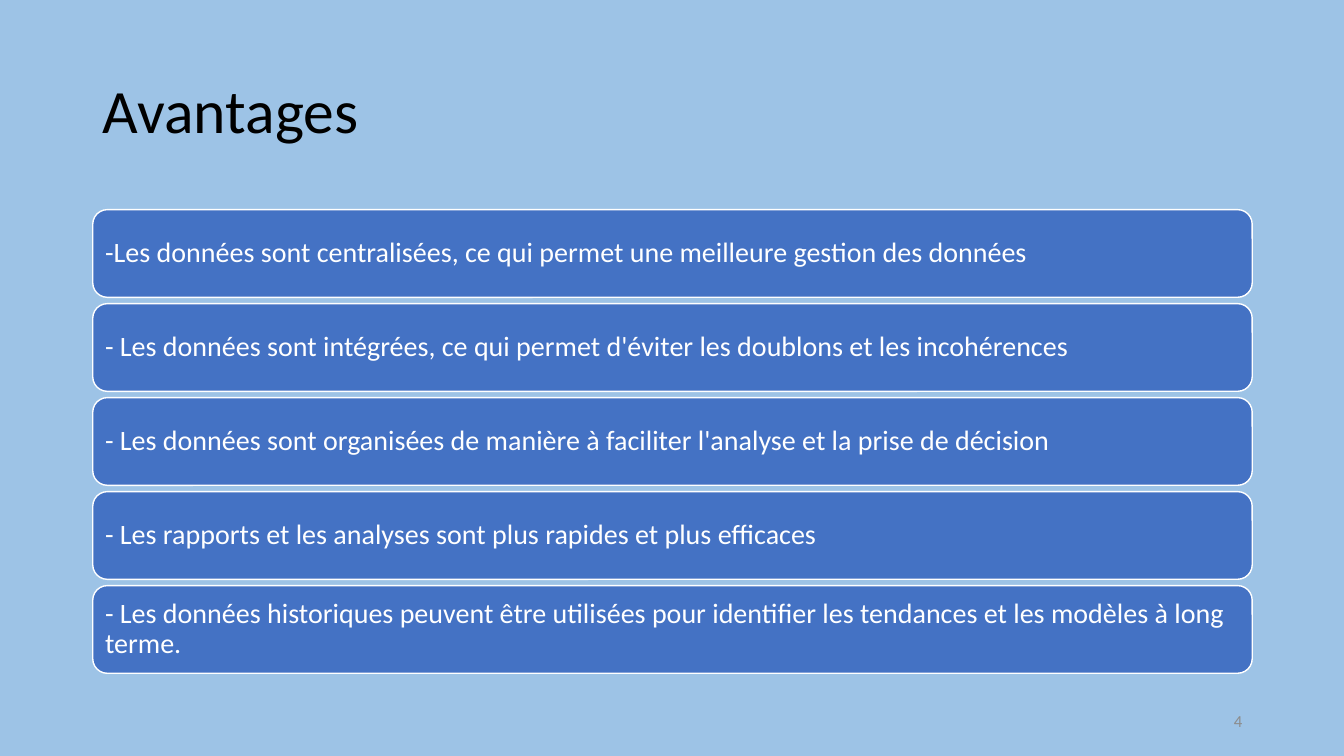
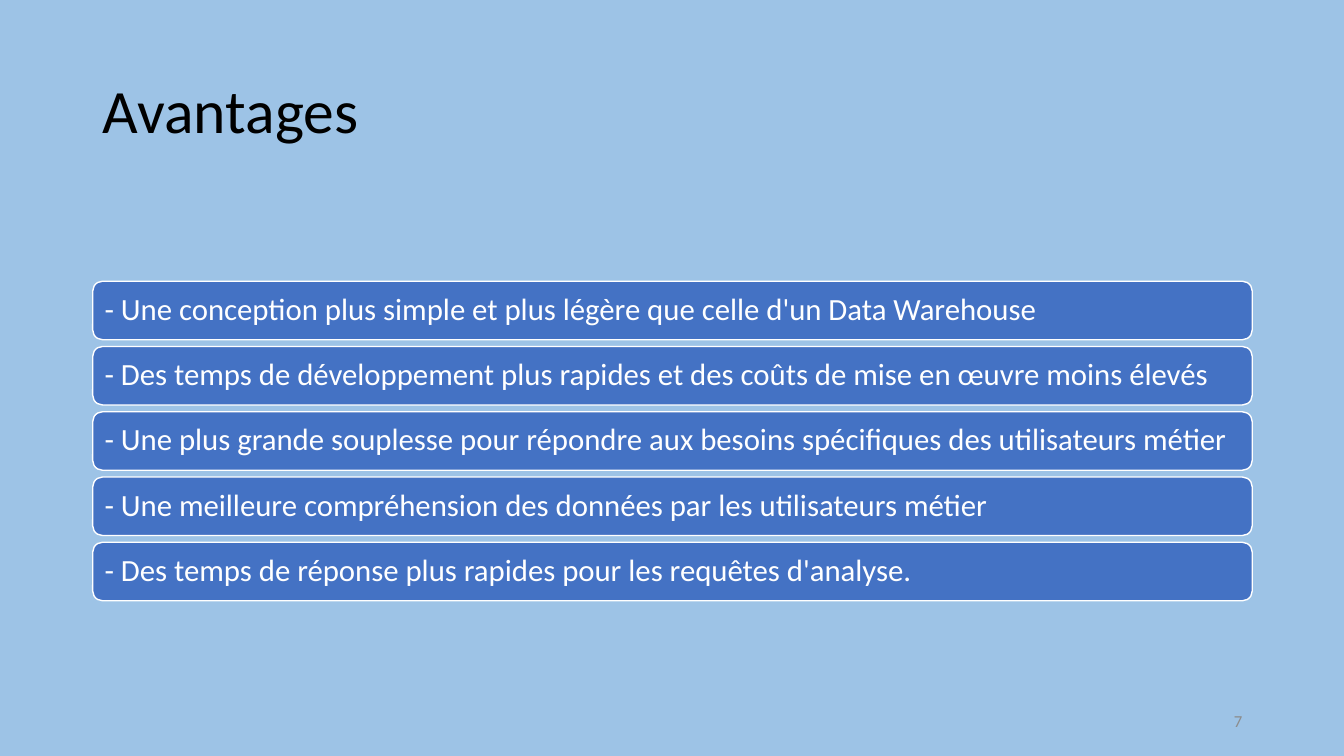
from pptx import Presentation
from pptx.dml.color import RGBColor
from pptx.enum.shapes import MSO_SHAPE
from pptx.enum.text import MSO_ANCHOR, PP_ALIGN
from pptx.util import Inches, Pt

SKY = RGBColor(0x9D, 0xC3, 0xE6)
BLUE = RGBColor(0x44, 0x72, 0xC4)
WHITE = RGBColor(0xFF, 0xFF, 0xFF)
BLACK = RGBColor(0x00, 0x00, 0x00)
GREY = RGBColor(0x8C, 0x8C, 0x8C)
FONT = "Calibri"
LEFT, WIDTH = 0.92, 11.5


class Deck:
    """Holds the shared style and the slide being built."""

    def __init__(self):
        self.prs = Presentation()
        self.prs.slide_width = Inches(13.33)
        self.prs.slide_height = Inches(7.5)
        fill = self.prs.slide_master.background.fill
        fill.solid()
        fill.fore_color.rgb = SKY

    def set_text(self, sp, text, size, color, align=PP_ALIGN.LEFT, spacing=0.9):
        tf = sp.text_frame
        tf.word_wrap = True
        tf.vertical_anchor = MSO_ANCHOR.MIDDLE
        p = tf.paragraphs[0]
        p.text = text
        p.alignment = align
        p.line_spacing = spacing
        p.font.name = FONT
        p.font.size = Pt(size)
        p.font.color.rgb = color
        return tf

    def add_slide(self, title, number):
        self.s = self.prs.slides.add_slide(self.prs.slide_layouts[5])
        sp = self.s.shapes.title
        sp.left, sp.top = Inches(LEFT), Inches(0.4)
        sp.width, sp.height = Inches(WIDTH), Inches(1.45)
        self.set_text(sp, title, 44, BLACK)
        self.add_page_number(number)

    def add_page_number(self, number):
        sp = self.s.shapes.add_textbox(Inches(9.42), Inches(6.95), Inches(3), Inches(0.4))
        self.set_text(sp, str(number), 12, GREY, PP_ALIGN.RIGHT, 1.0)

    def add_bar(self, text, top, height, size, inset):
        sp = self.s.shapes.add_shape(MSO_SHAPE.ROUNDED_RECTANGLE, Inches(LEFT), Inches(top),
                                     Inches(WIDTH), Inches(height))
        sp.shadow.inherit = False
        sp.fill.solid()
        sp.fill.fore_color.rgb = BLUE
        sp.line.color.rgb = WHITE
        sp.line.width = Pt(1)
        tf = self.set_text(sp, text, size, WHITE)
        tf.margin_left = tf.margin_right = Inches(inset)
        tf.margin_top = tf.margin_bottom = Inches(inset)

    def add_bars(self, texts, first_top, last_top, height, size, inset):
        """Stack bars at equal steps between the first and last tops."""
        step = (last_top - first_top) / (len(texts) - 1)
        for i, text in enumerate(texts):
            self.add_bar(text, first_top + i * step, height, size, inset)


def main():
    deck = Deck()

    deck.add_slide("Avantages", 4)
    deck.add_bars([
        "-Les données sont centralisées, ce qui permet une meilleure gestion des données",
        "- Les données sont intégrées, ce qui permet d'éviter les doublons et les incohérences",
        "- Les données sont organisées de manière à faciliter l'analyse et la prise de décision",
        "- Les rapports et les analyses sont plus rapides et plus efficaces",
        "- Les données historiques peuvent être utilisées pour identifier les tendances "
        "et les modèles à long terme.",
    ], first_top=2.08, last_top=5.81, height=0.87, size=20, inset=0.08)

    deck.add_slide("Avantages", 7)
    deck.add_bars([
        "- Une conception plus simple et plus légère que celle d'un Data Warehouse",
        "- Des temps de développement plus rapides et des coûts de mise en œuvre moins élevés",
        "- Une plus grande souplesse pour répondre aux besoins spécifiques des utilisateurs métier",
        "- Une meilleure compréhension des données par les utilisateurs métier",
        "- Des temps de réponse plus rapides pour les requêtes d'analyse.",
    ], first_top=2.79, last_top=5.38, height=0.58, size=22, inset=0.09)

    deck.prs.save("out.pptx")


if __name__ == "__main__":
    main()
